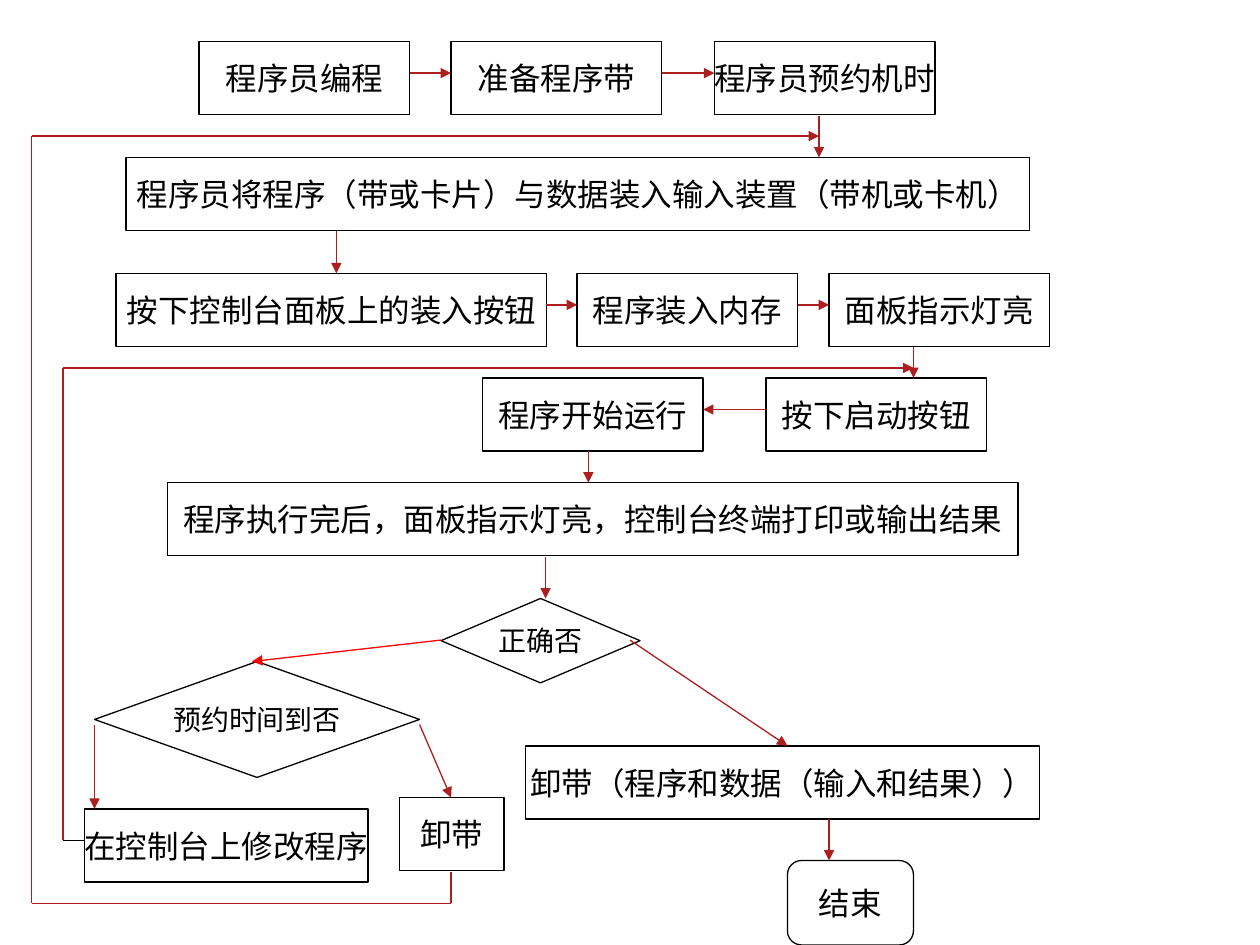
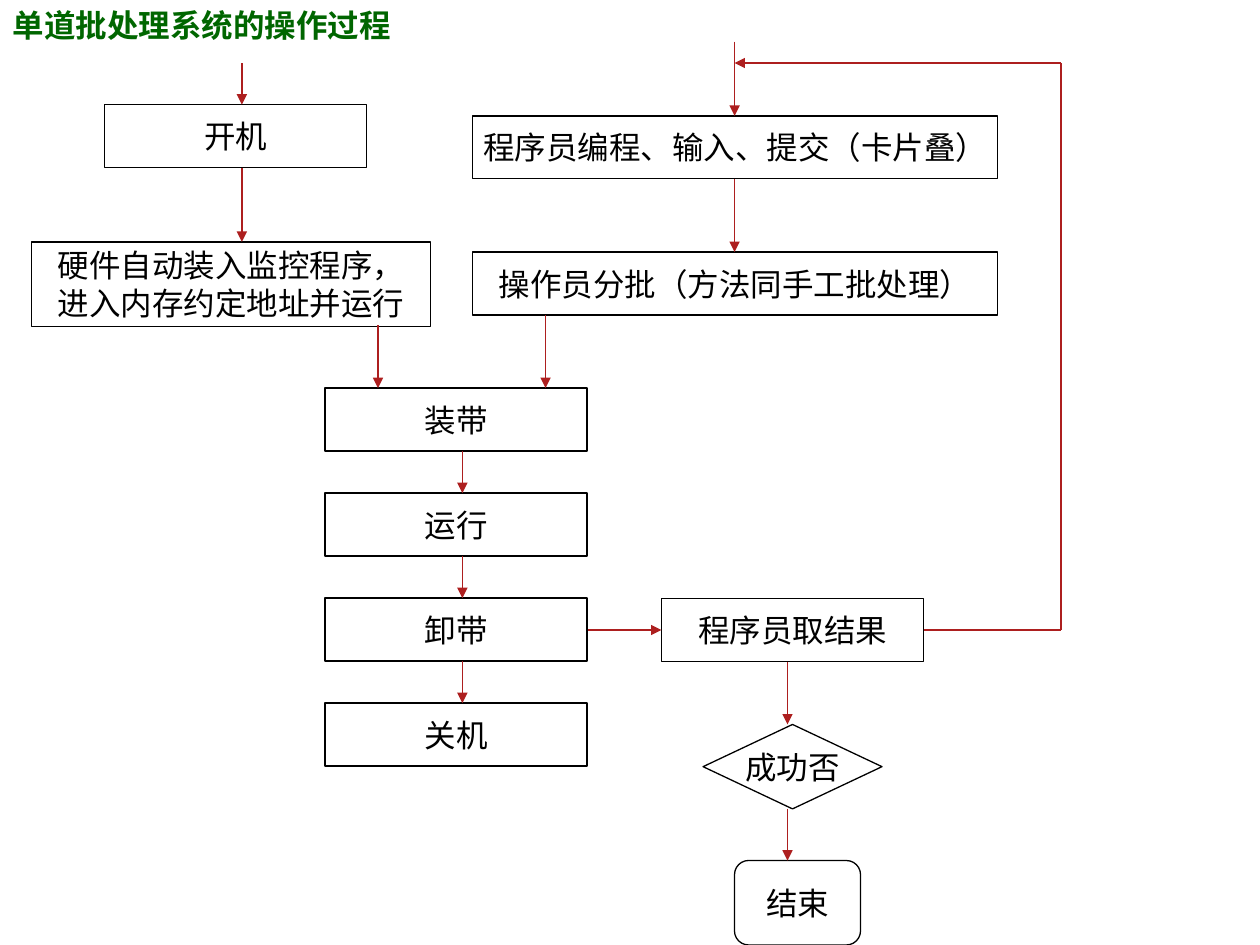
from typing import NamedTuple

from lxml import etree
from pptx import Presentation
from pptx.dml.color import RGBColor
from pptx.enum import shapes, text
from pptx.oxml import ns
from pptx.util import Inches, Pt

BLACK, WHITE, RED, BRIGHT, GREEN = "000000", "FFFFFF", "AD1F1F", "FF0000", "006600"
BOX = shapes.MSO_SHAPE.RECTANGLE
TEST = shapes.MSO_SHAPE.FLOWCHART_DECISION
END = shapes.MSO_SHAPE.FLOWCHART_ALTERNATE_PROCESS
ROW = 0.58
STEP = 0.5
DROP = 2.5 / 3


class Node(NamedTuple):
    words: str
    left: float
    top: float
    width: float
    height: float = ROW
    kind: int = BOX
    size: int = 18


class Route(NamedTuple):
    points: list[tuple[float, float]]
    color: str = RED
    arrow: bool = True


def paint(code: str) -> RGBColor:
    return RGBColor.from_string(code)


def add_run(para, words: str, size: int, face: str, color: str, bold: bool = False) -> None:
    run = para.add_run()
    run.text = words
    run.font.size, run.font.name, run.font.bold = Pt(size), face, bold
    run.font.color.rgb = paint(color)


def draw_node(slide, node: Node) -> None:
    place = [Inches(n) for n in (node.left, node.top, node.width, node.height)]
    shape = slide.shapes.add_shape(node.kind, *place)
    shape.shadow.inherit = False
    shape.fill.solid()
    shape.fill.fore_color.rgb = paint(WHITE)
    shape.line.color.rgb = paint(BLACK)
    shape.line.width = Pt(0.75)
    frame = shape.text_frame
    frame.word_wrap = False
    frame.vertical_anchor = text.MSO_ANCHOR.MIDDLE
    for i, words in enumerate(node.words.split("\n")):
        para = frame.add_paragraph() if i else frame.paragraphs[0]
        para.alignment = text.PP_ALIGN.CENTER
        add_run(para, words, node.size, "Times New Roman", BLACK)


def draw_route(slide, route: Route) -> None:
    legs = list(zip(route.points, route.points[1:]))
    for i, (start, stop) in enumerate(legs, 1):
        ends = [Inches(n) for n in (*start, *stop)]
        line = slide.shapes.add_connector(shapes.MSO_CONNECTOR.STRAIGHT, *ends)
        line.line.color.rgb = paint(route.color)
        line.line.width = Pt(0.75)
        if route.arrow and i == len(legs):
            etree.SubElement(line.line._get_or_add_ln(), ns.qn("a:tailEnd"), type="triangle")
        etree.SubElement(line._element.spPr, ns.qn("a:effectLst"))


def draw_title(slide, words: str) -> None:
    title = slide.shapes.title
    title.left, title.top = Inches(0), Inches(0)
    title.width, title.height = Inches(8.83), Inches(7.5)
    frame = title.text_frame
    frame.word_wrap = True
    frame.auto_size = text.MSO_AUTO_SIZE.NONE
    frame.vertical_anchor = text.MSO_ANCHOR.TOP
    para = frame.paragraphs[0]
    para.alignment = text.PP_ALIGN.LEFT
    add_run(para, words, 18, "Karla", GREEN, True)


def draw_flow(slide, nodes: list[Node], routes: list[Route]) -> None:
    for node in nodes:
        draw_node(slide, node)
    for route in routes:
        draw_route(slide, route)


MANUAL = [
    Node("程序员编程", 1.58, 0.33, 1.67),
    Node("准备程序带", 3.58, 0.33, 1.67),
    Node("程序员预约机时", 5.67, 0.33, 1.75),
    Node("程序员将程序（带或卡片）与数据装入输入装置（带机或卡机）", 1, 1.25, 7.17),
    Node("按下控制台面板上的装入按钮", 0.92, 2.17, 3.42),
    Node("程序装入内存", 4.58, 2.17, 1.75),
    Node("面板指示灯亮", 6.58, 2.17, 1.75),
    Node("按下启动按钮", 6.08, 3, 1.75),
    Node("程序开始运行", 3.83, 3, 1.75),
    Node("程序执行完后，面板指示灯亮，控制台终端打印或输出结果", 1.33, 3.83, 6.75),
    Node("在控制台上修改程序", 0.67, 6.42, 2.25),
    Node("卸带", 3.17, 6.33, 0.83),
    Node("卸带（程序和数据（输入和结果））", 4.17, 5.92, 4.08),
    Node("正确否", 3.5, 4.75, 1.58, 0.67, TEST, 16),
    Node("预约时间到否", 0.75, 5.25, 2.58, 0.92, TEST, 16),
    Node("结束", 6.25, 6.83, 1, 0.67, END),
]
MANUAL_WAYS = [
    Route([(3.25, 0.58), (3.58, 0.58)]),
    Route([(5.25, 0.58), (5.67, 0.58)]),
    Route([(6.5, 0.92), (6.5, 1.25)]),
    Route([(2.67, 1.83), (2.67, 2.17)]),
    Route([(4.33, 2.42), (4.58, 2.42)]),
    Route([(6.33, 2.42), (6.58, 2.42)]),
    Route([(7.25, 2.75), (7.25, 3)]),
    Route([(6.08, 3.25), (5.58, 3.25)]),
    Route([(4.67, 3.58), (4.67, 3.83)]),
    Route([(4.33, 4.42), (4.33, 4.75)]),
    Route([(3.5, 5.08), (2, 5.25)], BRIGHT),
    Route([(5, 5.08), (6.25, 5.92)]),
    Route([(3.33, 5.75), (3.58, 6.33)]),
    Route([(0.75, 5.75), (0.75, 6.42)]),
    Route([(6.58, 6.5), (6.58, 6.83)]),
    Route([(3.58, 6.92), (3.58, 7.17), (0.25, 7.17), (0.25, 1.08), (6.5, 1.08)]),
    Route([(0.67, 6.67), (0.5, 6.67)], BLACK, False),
    Route([(0.5, 6.67), (0.5, 2.92), (7.25, 2.92)]),
]

TOPS = [3.08 + i * DROP for i in range(4)]
BATCH = [
    Node("硬件自动装入监控程序，\n进入内存约定地址并运行", 0.25, 1.92, 3.17, 0.67),
    Node("结束", 5.83, 6.83, 1, 0.67, END),
    Node("开机", 0.83, 0.83, 2.08, STEP),
    Node("程序员取结果", 5.25, 4.75, 2.08, STEP),
    *(Node(words, 2.58, top, 2.08, STEP) for words, top in zip(("装带", "运行", "卸带", "关机"), TOPS)),
    Node("操作员分批（方法同手工批处理）", 3.75, 2, 4.17, STEP),
    Node("程序员编程、输入、提交（卡片叠）", 3.75, 0.92, 4.17, STEP),
    Node("成功否", 5.58, 5.75, 1.42, 0.67, TEST),
]
BATCH_WAYS = [
    Route([(5.83, 0.33), (5.83, 0.92)]),
    Route([(1.92, 0.5), (1.92, 0.83)]),
    Route([(1.92, 1.33), (1.92, 1.92)]),
    Route([(3, 2.58), (3, 3.08)]),
    Route([(4.33, 2.5), (4.33, 3.08)]),
    *(Route([(3.67, top + STEP), (3.67, below)]) for top, below in zip(TOPS, TOPS[1:])),
    Route([(4.67, 5), (5.25, 5)]),
    Route([(6.25, 5.25), (6.25, 5.75)]),
    Route([(6.25, 6.42), (6.25, 6.83)]),
    Route([(5.83, 1.42), (5.83, 2)]),
    Route([(7.33, 5), (8.42, 5), (8.42, 0.5), (5.83, 0.5)]),
]


def main() -> None:
    """Build the manual and the batch operation flowcharts."""
    deck = Presentation()
    deck.slide_width, deck.slide_height = Inches(10), Inches(7.5)
    bare, titled = deck.slide_layouts[6], deck.slide_layouts[5]
    draw_flow(deck.slides.add_slide(bare), MANUAL, MANUAL_WAYS)
    batch = deck.slides.add_slide(titled)
    draw_title(batch, "单道批处理系统的操作过程")
    draw_flow(batch, BATCH, BATCH_WAYS)
    deck.save("out.pptx")


if __name__ == "__main__":
    main()
